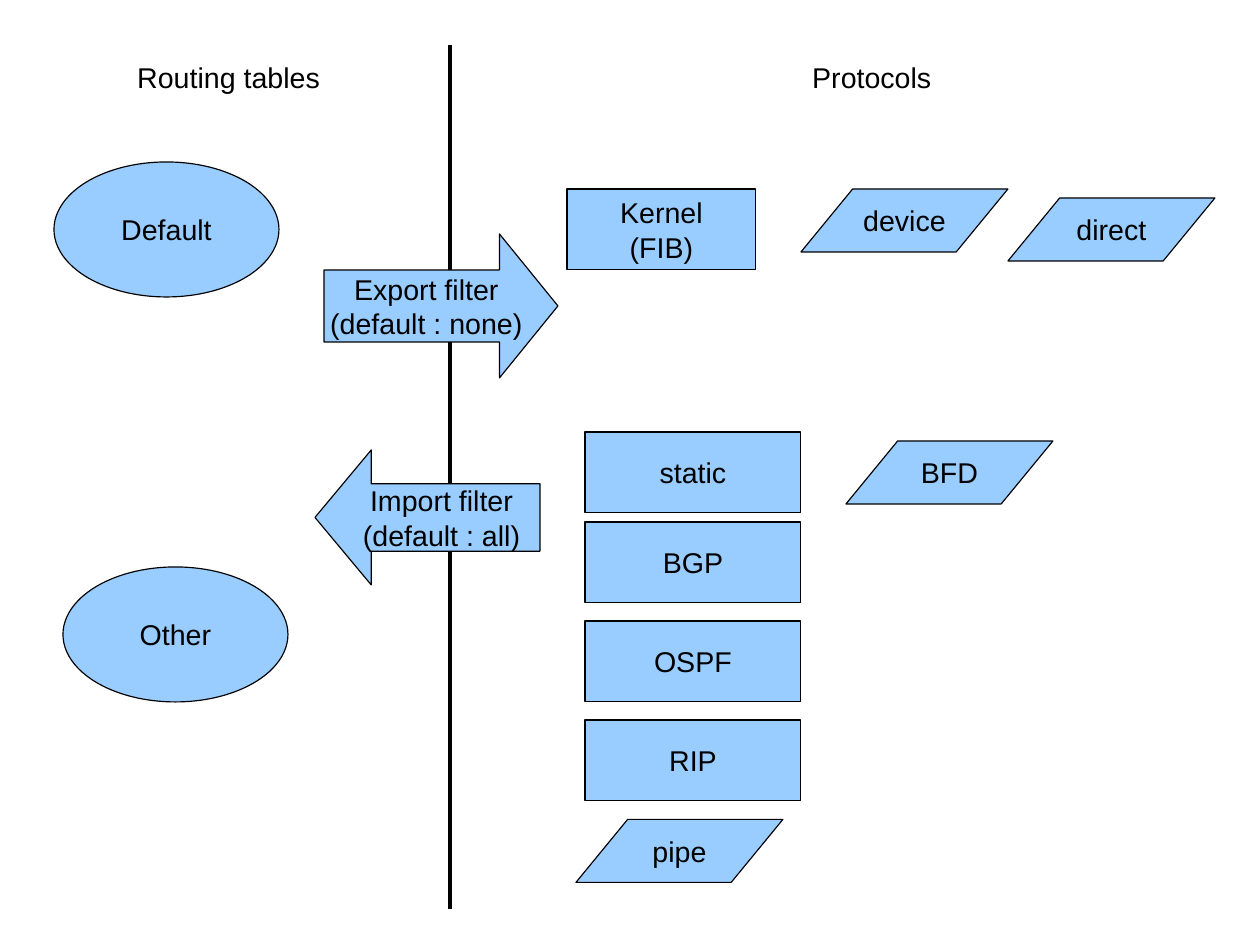
from pptx import Presentation
from pptx.util import Pt
from pptx.dml.color import RGBColor as Rgb
from pptx.enum.shapes import MSO_SHAPE as Kind, MSO_CONNECTOR as Link
from pptx.enum.text import PP_ALIGN as Align, MSO_ANCHOR as Anchor
from pptx.oxml.ns import qn
from lxml.etree import SubElement as Sub

THEME = {
    "font": "Arial", "size": 18, "hair": 0,
    "ink": Rgb(0, 0, 0), "fill": Rgb(0x99, 0xCC, 0xFF),
}
PAGE = (793.7, 595.3)
RULE = (283.46, 28.35, 572.6)
HEADS = [
    ("Protocols", 504.57, 34.02, 96.5, 27.4),
    ("Routing tables", 79.37, 34.02, 141.73, 33.1),
]
TABLES = [("Default", 34.02, 102.05), ("Other", 39.69, 357.17)]
FILTERS = [
    ("Export filter\n(default : none)", Kind.RIGHT_ARROW, 0.406, 204.09, 147.4, 147.4, 90.71),
    ("Import filter\n(default : all)", Kind.LEFT_ARROW, 0.417, 198.43, 283.46, 141.73, 85.04),
]
KERNEL = ("Kernel\n(FIB)", 357.17, 119.06, 119.06)
ROUTES = [("static", 272.13), ("BGP", 328.82), ("OSPF", 391.18), ("RIP", 453.54)]
HELPERS = [
    ("device", 504.57, 119.06), ("direct", 634.96, 124.72),
    ("pipe", 362.83, 516.2), ("BFD", 532.91, 277.8),
]
OVAL = (141.73, 85.04)
HIGH = 51.02
ROUTE = (368.5, 136.06)
SLANT = (130.39, 39.69)


def write(box, text, align):
    frame = box.text_frame
    frame.text = text
    frame.word_wrap = False
    for para in frame.paragraphs:
        para.alignment = align
        for run in para.runs:
            font = run.font
            font.name = THEME["font"]
            font.size = Pt(THEME["size"])
            font.color.rgb = THEME["ink"]


def trace(line):
    line.color.rgb = THEME["ink"]
    line.width = Pt(THEME["hair"])


def node(slide, kind, text, x, y, w, h, tune=()):
    box = slide.shapes.add_shape(kind, Pt(x), Pt(y), Pt(w), Pt(h))
    box.shadow.inherit = False
    box.fill.solid()
    box.fill.fore_color.rgb = THEME["fill"]
    trace(box.line)
    for i, val in enumerate(tune):
        box.adjustments[i] = val
    write(box, text, Align.CENTER)
    box.text_frame.vertical_anchor = Anchor.MIDDLE


def main():
    deck = Presentation()
    deck.slide_width, deck.slide_height = map(Pt, PAGE)
    slide = deck.slides.add_slide(deck.slide_layouts[6])

    x, top, end = map(Pt, RULE)
    rule = slide.shapes.add_connector(Link.STRAIGHT, x, top, x, end)
    trace(rule.line)
    Sub(rule._element.spPr, qn("a:effectLst"))

    for text, *place in HEADS:
        write(slide.shapes.add_textbox(*map(Pt, place)), text, Align.LEFT)
    for text, x, y in TABLES:
        node(slide, Kind.OVAL, text, x, y, *OVAL)
    for text, kind, tip, *place in FILTERS:
        node(slide, kind, text, *place, (0.5, tip))
    left, wide = ROUTE
    for text, x, y, w in [KERNEL] + [(t, left, y, wide) for t, y in ROUTES]:
        node(slide, Kind.RECTANGLE, text, x, y, w, HIGH)
    for text, x, y in HELPERS:
        node(slide, Kind.PARALLELOGRAM, text, x, y, *SLANT, (0.821,))

    deck.save("out.pptx")


if __name__ == "__main__":
    main()
